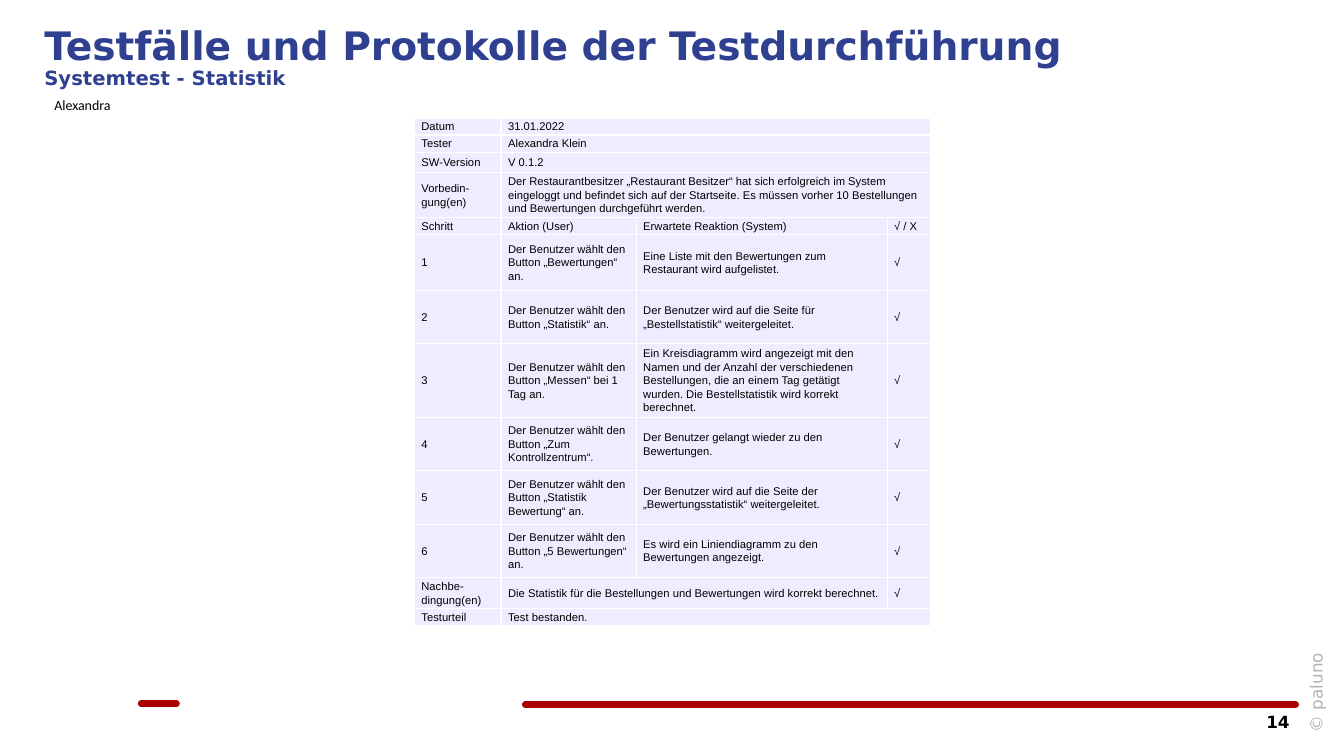
from pptx import Presentation
from pptx.dml.color import RGBColor
from pptx.enum.shapes import MSO_CONNECTOR
from pptx.enum.text import MSO_ANCHOR, PP_ALIGN
from pptx.oxml import parse_xml
from pptx.oxml.ns import nsdecls
from pptx.util import Inches, Pt

LINE = MSO_CONNECTOR.STRAIGHT
MIDDLE = MSO_ANCHOR.MIDDLE
LEFT, RIGHT = PP_ALIGN.LEFT, PP_ALIGN.RIGHT
COLORS = {"title": "304090", "bar": "A90000", "cell": "EDEDFF",
          "grid": "FFFFFF", "text": "000000", "gray": "B3B3B3"}
SANS = "DejaVu Sans"


def add_run(para, text, size, font, color="text", bold=False):
    run = para.add_run()
    run.text = text
    run.font.size = Pt(size)
    run.font.name = font
    run.font.bold = bold
    run.font.color.rgb = RGBColor.from_string(COLORS[color])


def add_box(left, top, width, height, pad_x, pad_y, spacing, align=LEFT):
    box = slide.shapes.add_textbox(
        Inches(left), Inches(top), Inches(width), Inches(height))
    frame = box.text_frame
    frame.word_wrap = True
    frame.margin_left = frame.margin_right = Inches(pad_x)
    frame.margin_top = frame.margin_bottom = Inches(pad_y)
    para = frame.paragraphs[0]
    para.line_spacing = spacing
    para.alignment = align
    return box, para


deck = Presentation()
deck.slide_width, deck.slide_height = Inches(13.33), Inches(7.5)
slide = deck.slides.add_slide(deck.slide_layouts[6])

# Red footer bars
for start, end, y in [(5.21, 12.85, 6.99), (1.4, 1.75, 6.98)]:
    bar = slide.shapes.add_connector(
        LINE, Inches(start), Inches(y), Inches(end), Inches(y))
    bar.line.color.rgb = RGBColor.from_string(COLORS["bar"])
    bar.line.width = Pt(4.8)
    bar.line._get_or_add_ln().set("cap", "rnd")
    bar._element.spPr.append(parse_xml(f"<a:effectLst {nsdecls('a')}/>"))

# Copyright line, reading upwards
box, para = add_box(12.64, 6.65, 1.03, 0.36, 0, 0, 0.9)
box.rotation = 270
box.text_frame.margin_left = Inches(0.08)
add_run(para, "© paluno", 12, SANS, "gray")

# Title and subtitle
box, para = add_box(0.44, 0.26, 12.44, 0.5, 0, 0, 0.9)
add_run(para, "Testfälle und Protokolle der Testdurchführung", 28, SANS, "title", True)
para.add_line_break()
add_run(para, "Systemtest - Statistik", 14, SANS, "title", True)

# Page number
box, para = add_box(11.76, 7.03, 1.13, 0.28, 0.1, 0.05, 0.9, RIGHT)
add_run(para, "14", 12, SANS, bold=True)

# Test protocol: a short row lets its last text span the free columns
OK = "√"
widths = [0.86, 1.34, 2.49, 0.43]
rows = [
    (0.17, ["Datum", "31.01.2022"]),
    (0.17, ["Tester", "Alexandra Klein"]),
    (0.2, ["SW-Version", "V 0.1.2"]),
    (0.45, ["Vorbedin-gung(en)",
            "Der Restaurantbesitzer „Restaurant Besitzer“ hat sich erfolgreich im "
            "System eingeloggt und befindet sich auf der Startseite. Es müssen vorher "
            "10 Bestellungen und Bewertungen durchgeführt werden."]),
    (0.17, ["Schritt", "Aktion (User)", "Erwartete Reaktion (System)", "√ / X"]),
    (0.55, ["1", "Der Benutzer wählt den Button „Bewertungen“ an.",
            "Eine Liste mit den Bewertungen zum Restaurant wird aufgelistet.", OK]),
    (0.53, ["2", "Der Benutzer wählt den Button „Statistik“ an.",
            "Der Benutzer wird auf die Seite für „Bestellstatistik“ weitergeleitet.", OK]),
    (0.59, ["3", "Der Benutzer wählt den Button „Messen“ bei 1 Tag an.",
            "Ein Kreisdiagramm wird angezeigt mit den Namen und der Anzahl der "
            "verschiedenen Bestellungen, die an einem Tag getätigt wurden. Die "
            "Bestellstatistik wird korrekt berechnet.", OK]),
    (0.53, ["4", "Der Benutzer wählt den Button „Zum Kontrollzentrum“.",
            "Der Benutzer gelangt wieder zu den Bewertungen.", OK]),
    (0.53, ["5", "Der Benutzer wählt den Button „Statistik Bewertung“ an.",
            "Der Benutzer wird auf die Seite der „Bewertungsstatistik“ weitergeleitet.", OK]),
    (0.53, ["6", "Der Benutzer wählt den Button „5 Bewertungen“ an.",
            "Es wird ein Liniendiagramm zu den Bewertungen angezeigt.", OK]),
    (0.31, ["Nachbe-dingung(en)",
            "Die Statistik für die Bestellungen und Bewertungen wird korrekt berechnet.",
            None, OK]),
    (0.17, ["Testurteil", "Test bestanden."]),
]
table = slide.shapes.add_table(
    len(rows), len(widths), Inches(4.11), Inches(1.17),
    Inches(sum(widths)), Inches(sum(height for height, _ in rows))).table
table.first_row = table.horz_banding = False
for col, width in zip(table.columns, widths):
    col.width = Inches(width)

for r, (height, texts) in enumerate(rows):
    table.rows[r].height = Inches(height)
    texts = texts + [None] * (len(widths) - len(texts))
    if texts[2] is None:
        last = 2 if texts[3] else 3
        table.cell(r, 1).merge(table.cell(r, last))
    for c, text in enumerate(texts):
        cell = table.cell(r, c)
        cell.margin_left = cell.margin_right = Inches(0.07)
        cell.margin_top = cell.margin_bottom = Inches(0.01)
        cell.vertical_anchor = MIDDLE
        props = cell._tc.get_or_add_tcPr()
        for side in ("lnL", "lnR", "lnT", "lnB"):
            props.append(parse_xml(
                f'<a:{side} {nsdecls("a")} w="12700"><a:solidFill>'
                f'<a:srgbClr val="{COLORS["grid"]}"/></a:solidFill></a:{side}>'))
        cell.fill.solid()
        cell.fill.fore_color.rgb = RGBColor.from_string(COLORS["cell"])
        para = cell.text_frame.paragraphs[0]
        para.line_spacing = 1.07
        para.space_after = Pt(8)
        if text:
            add_run(para, text, 8, "Arial")
        else:
            para.font.size = Pt(8)

# Author
box, para = add_box(0.44, 0.9, 2.56, 0.27, 0.1, 0.05, 1.07)
para.space_after = Pt(8)
add_run(para, "Alexandra", 10, "Calibri")

deck.save("out.pptx")
